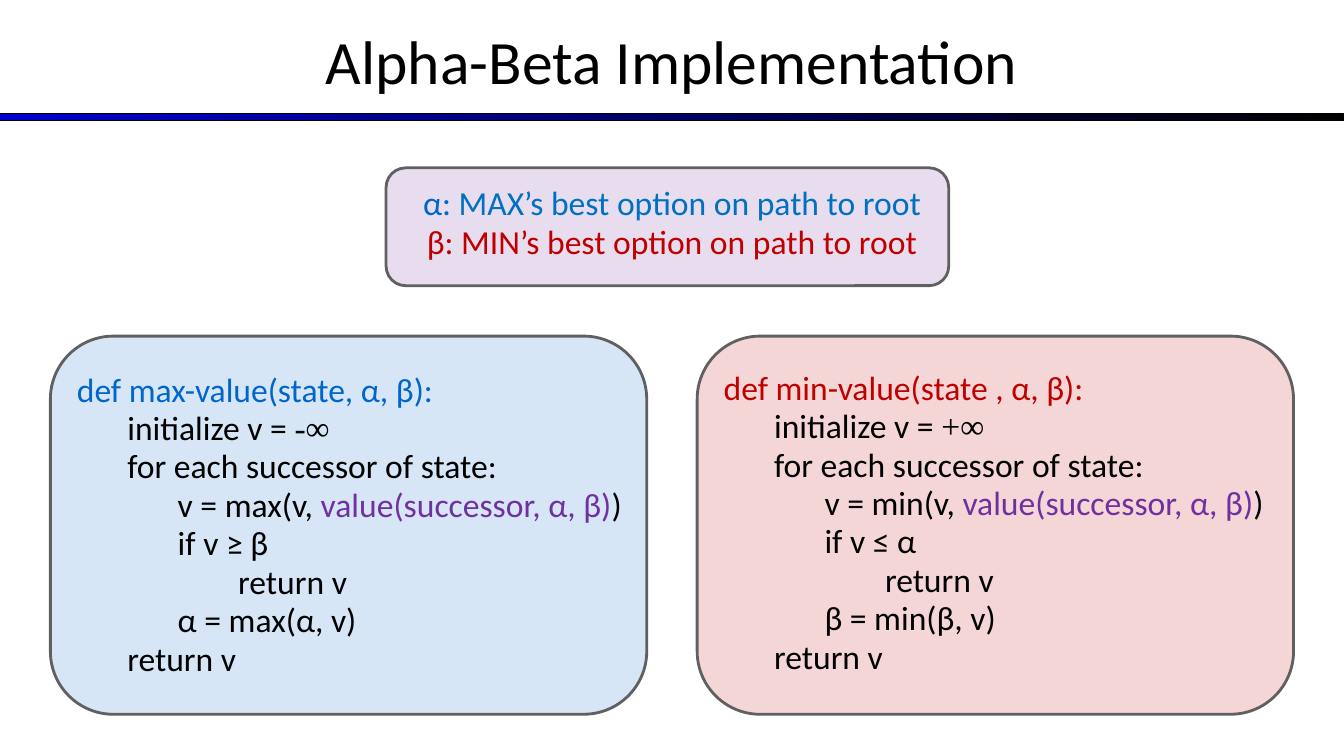
from dataclasses import dataclass

from lxml.etree import SubElement
from pptx import Presentation
from pptx.dml.color import RGBColor
from pptx.enum.shapes import MSO_SHAPE
from pptx.enum.text import MSO_ANCHOR, PP_ALIGN
from pptx.oxml.ns import qn
from pptx.util import Cm, Pt


@dataclass(frozen=True)
class Theme:
    font: str = "Calibri"
    symbol_font: str = "Times New Roman"
    title_size: int = 44
    body_size: int = 24
    black: str = "000000"
    navy: str = "0000CC"
    blue: str = "0066CC"
    sky: str = "0070C0"
    red: str = "C00000"
    purple: str = "7030A0"
    outline: str = "606060"


theme = Theme()
deck = Presentation()
deck.slide_width, deck.slide_height = Cm(33.87), Cm(19.05)
page = deck.slides.add_slide(deck.slide_layouts[6])


def add_panel(left, top, width, height, tint):
    """Rounded box with a 16 % tint."""
    panel = page.shapes.add_shape(
        MSO_SHAPE.ROUNDED_RECTANGLE, Cm(left), Cm(top), Cm(width), Cm(height))
    panel.shadow.inherit = False
    panel.fill.solid()
    panel.fill.fore_color.rgb = RGBColor.from_string(tint)
    color = panel.fill._xPr.find(qn("a:solidFill"))[0]
    SubElement(color, qn("a:alpha")).set("val", "16000")
    panel.line.color.rgb = RGBColor.from_string(theme.outline)
    panel.line.width = Pt(2)


def add_text(left, top, width, height, lines, size=theme.body_size,
             align=PP_ALIGN.LEFT, spacing=0.8):
    """Each line is (indent in cm, [(text, colour, font), ...])."""
    box = page.shapes.add_textbox(Cm(left), Cm(top), Cm(width), Cm(height))
    frame = box.text_frame
    frame.word_wrap = True
    for number, (indent, spans) in enumerate(lines):
        para = frame.add_paragraph() if number else frame.paragraphs[0]
        para.alignment = align
        para.line_spacing = spacing
        para.space_before = Pt(4.4 if number else 0)
        para._p.get_or_add_pPr().set("marL", str(Cm(indent)))
        para.font.size = Pt(size)
        para.font.name = theme.font
        for text, color, *font in spans:
            span = para.add_run()
            span.text = text
            span.font.color.rgb = RGBColor.from_string(color)
            if font:
                span.font.name = font[0]
    return frame


# Title and rule
title = add_text(0, 0, 33.87, 3.02, [(0, [("Alpha-Beta Implementation", theme.black)])],
                 theme.title_size, PP_ALIGN.CENTER, 1.0)
title.vertical_anchor = MSO_ANCHOR.MIDDLE

rule = page.shapes.add_shape(MSO_SHAPE.RECTANGLE, 0, Cm(2.87), deck.slide_width, Cm(0.18))
rule.shadow.inherit = False
rule.fill.gradient()
rule.fill.gradient_angle = 0
for stop, color in zip(rule.fill.gradient_stops, (theme.navy, theme.black)):
    stop.color.rgb = RGBColor.from_string(color)
rule.line.color.rgb = RGBColor.from_string(theme.black)
rule.line.width = Pt(0.75)

# Meaning of the two bounds
add_panel(9.73, 4.23, 14.18, 2.97, theme.purple)
add_text(0, 4.66, 33.87, 2.5, [
    (0, [("α: ", theme.blue), ("MAX’s best option on path to root", theme.sky)]),
    (0, [("β: MIN’s best option on path to root", theme.red)]),
], align=PP_ALIGN.CENTER)

# Pseudocode panels
functions = [
    # left, text top, tint, operator, signature, start value, cut-off, own bound
    (1.27, 9.36, theme.blue, "max", "(state, α, β):", "-∞", "≥ β", "α"),
    (17.57, 9.31, theme.red, "min", "(state , α, β):", "+∞", "≤ α", "β"),
]
step = 1.27
for left, top, tint, operator, signature, start, cutoff, bound in functions:
    add_panel(left, 8.47, 15.03, 9.53, tint)
    add_text(left + 0.42, top, 14.9, 7.9, [
        (0, [(f"def {operator}-value{signature}", tint)]),
        (step, [("initialize v = ", theme.black), (start, theme.black, theme.symbol_font)]),
        (step, [("for each successor of state:", theme.black)]),
        (2 * step, [(f"v = {operator}(v, ", theme.black),
                    ("value(successor, α, β)", theme.purple), (")", theme.black)]),
        (2 * step, [(f"if v {cutoff}", theme.black)]),
        (3.2 * step, [("return v", theme.black)]),
        (2 * step, [(f"{bound} = {operator}({bound}, v)", theme.black)]),
        (step, [("return v", theme.black)]),
    ])

deck.save("out.pptx")
